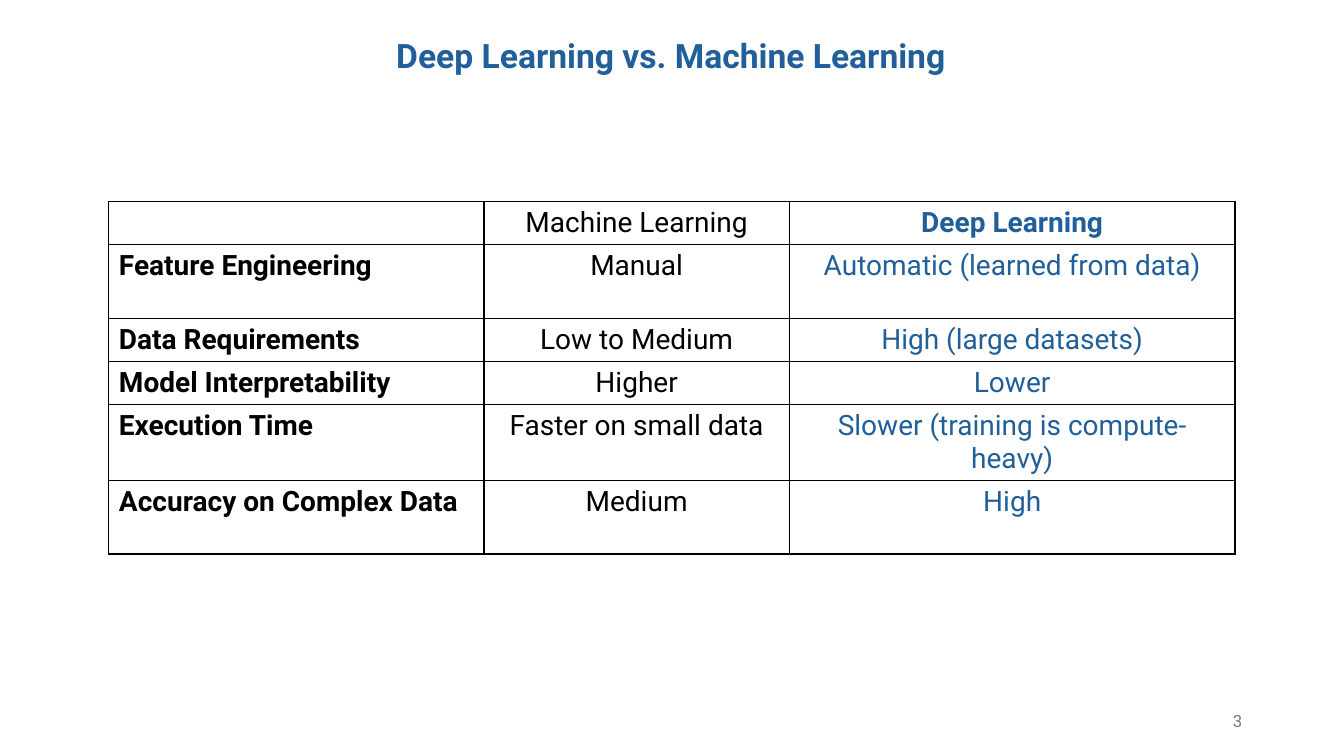
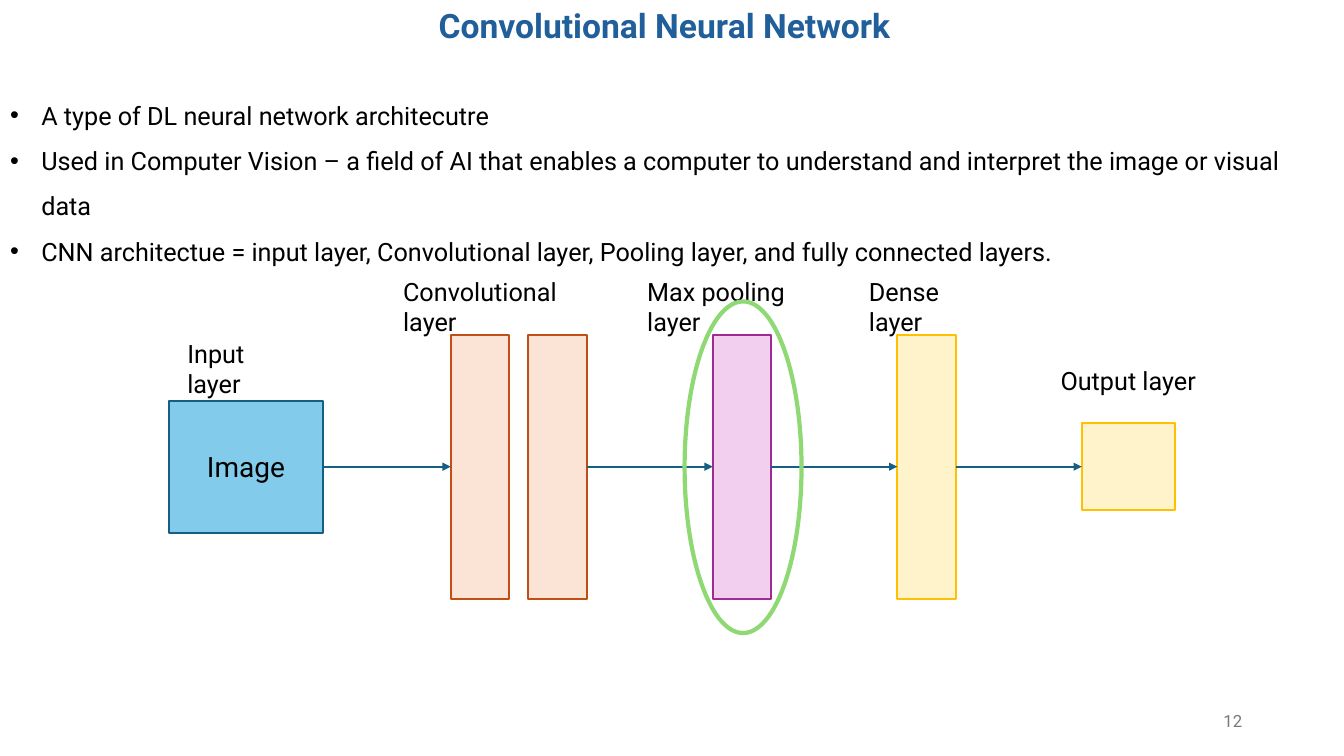
"""Build two slides comparing learning methods and outlining a convolutional network."""
from dataclasses import dataclass
from typing import Optional

from lxml.etree import SubElement
from pptx import Presentation
from pptx.dml.color import RGBColor
from pptx.enum.shapes import MSO_CONNECTOR, MSO_SHAPE
from pptx.enum.text import MSO_ANCHOR, MSO_AUTO_SIZE, PP_ALIGN
from pptx.oxml import parse_xml
from pptx.oxml.ns import nsdecls, qn
from pptx.util import Inches, Pt


@dataclass(frozen=True)
class Theme:
    font: str = "Roboto"
    black: str = "000000"
    heading: str = "215F9A"
    muted: str = "797979"
    arrow: str = "156082"
    image: str = "83CBEB"
    conv: str = "FBE3D6"
    conv_line: str = "C04F15"
    pool: str = "F2CFEE"
    pool_line: str = "A02B93"
    dense: str = "FFF3CC"
    dense_line: str = "FFC000"
    highlight: str = "8ED973"
    title_size: int = 24
    large_size: int = 20
    body_size: int = 18
    page_size: int = 12
    line_width: float = 1.5


@dataclass(frozen=True)
class Box:
    left: float
    top: float
    width: float
    height: float

    def lengths(self) -> tuple:
        return tuple(Inches(v) for v in (self.left, self.top, self.width, self.height))


@dataclass(frozen=True)
class Layer:
    left: float
    fill: str
    line: str
    width: float = 0.58
    height: float = 2.62
    text: str = ""


@dataclass(frozen=True)
class Label:
    text: str
    box: Box


T = Theme()
AXIS = 4.63
COLUMNS = (3.72, 3.03, 4.42)
SHORT_ROW, TALL_ROW = 0.42, 0.73
ROW_HEIGHTS = (SHORT_ROW, TALL_ROW, SHORT_ROW, SHORT_ROW, TALL_ROW, TALL_ROW)
COMPARISON = (
    ("", "Machine Learning", "Deep Learning"),
    ("Feature Engineering", "Manual", "Automatic (learned from data)"),
    ("Data Requirements", "Low to Medium", "High (large datasets)"),
    ("Model Interpretability", "Higher", "Lower"),
    ("Execution Time", "Faster on small data", "Slower (training is compute-heavy)"),
    ("Accuracy on Complex Data", "Medium", "High"),
)
BULLETS = (
    "A type of DL neural network architecutre",
    "Used in Computer Vision – a field of AI that enables a computer to "
    "understand and interpret the image or visual data",
    "CNN architectue = input layer, Convolutional layer, Pooling layer, "
    "and fully connected layers.",
)
LAYERS = (
    Layer(1.68, T.image, T.arrow, 1.52, 1.31, "Image"),
    Layer(4.47, T.conv, T.conv_line),
    Layer(5.24, T.conv, T.conv_line),
    Layer(7.07, T.pool, T.pool_line),
    Layer(8.9, T.dense, T.dense_line),
    Layer(10.73, T.dense, T.dense_line, 0.92, 0.86),
)
LINKS = ((0, 1), (2, 3), (3, 4), (4, 5))
LABELS = (
    Label("Input layer", Box(1.76, 3.31, 1.1, 0.7)),
    Label("Convolutional layer", Box(3.9, 2.69, 2, 0.7)),
    Label("Max pooling layer", Box(6.32, 2.69, 1.75, 0.7)),
    Label("Dense layer", Box(8.52, 2.69, 1.1, 0.7)),
    Label("Output layer", Box(10.42, 3.58, 1.65, 0.4)),
)


def style(p, size: int, color: str = T.black, bold: bool = False,
          align: PP_ALIGN = PP_ALIGN.LEFT) -> None:
    """Format a paragraph and its runs."""
    p.alignment = align
    p.space_before = Pt(0)
    for r in p.runs:
        r.font.name = T.font
        r.font.size = Pt(size)
        r.font.bold = bold
        r.font.color.rgb = RGBColor.from_string(color)


def place(sp, box: Box, anchor: MSO_ANCHOR = MSO_ANCHOR.TOP):
    """Move a text holder and return its wrapped text frame."""
    sp.left, sp.top, sp.width, sp.height = box.lengths()
    tf = sp.text_frame
    tf.auto_size = MSO_AUTO_SIZE.NONE
    tf.word_wrap = True
    tf.vertical_anchor = anchor
    return tf


def add_label(s, label: Label, size: int = T.body_size, color: str = T.black,
              align: PP_ALIGN = PP_ALIGN.LEFT,
              anchor: MSO_ANCHOR = MSO_ANCHOR.TOP) -> None:
    """Add a text box with one paragraph."""
    tf = place(s.shapes.add_textbox(*label.box.lengths()), label.box, anchor)
    tf.text = label.text
    style(tf.paragraphs[0], size, color, align=align)


def new_slide(prs, layout: int, title: Label, page: int):
    """Add a slide with its title and page number."""
    s = prs.slides.add_slide(prs.slide_layouts[layout])
    tf = place(s.shapes.title, title.box)
    tf.text = title.text
    style(tf.paragraphs[0], T.title_size, T.heading, True)
    add_label(s, Label(str(page), Box(9.42, 6.95, 3, 0.4)), T.page_size, T.muted,
              PP_ALIGN.RIGHT, MSO_ANCHOR.MIDDLE)
    return s


def add_borders(cell) -> None:
    """Draw thin black lines around a table cell."""
    pr = cell._tc.get_or_add_tcPr()
    for i, side in enumerate(("lnL", "lnR", "lnT", "lnB")):
        pr.insert(i, parse_xml(
            f'<a:{side} {nsdecls("a")} w="{Pt(1)}"><a:solidFill>'
            f'<a:srgbClr val="{T.black}"/></a:solidFill></a:{side}>'))


def add_comparison(s) -> None:
    """Add the table that compares both methods."""
    box = Box(1.08, 2, sum(COLUMNS), sum(ROW_HEIGHTS))
    table = s.shapes.add_table(len(COMPARISON), len(COLUMNS), *box.lengths()).table
    table.first_row = table.horz_banding = False
    for column, width in zip(table.columns, COLUMNS):
        column.width = Inches(width)
    for i, (row, height) in enumerate(zip(COMPARISON, ROW_HEIGHTS)):
        table.rows[i].height = Inches(height)
        for j, text in enumerate(row):
            cell = table.cell(i, j)
            cell.fill.background()
            add_borders(cell)
            cell.text_frame.text = text
            style(cell.text_frame.paragraphs[0], T.large_size,
                  T.heading if j == 2 else T.black,
                  j == 0 or (i == 0 and j == 2),
                  PP_ALIGN.CENTER if j else PP_ALIGN.LEFT)


def add_bullets(s) -> None:
    """Fill the body placeholder with the bullet list."""
    tf = place(s.placeholders[1], Box(0, 0.79, 13.33, 1.9))
    tf.text = "\n".join(BULLETS)
    for p in tf.paragraphs:
        pr = p._p.get_or_add_pPr()
        pr.set("marL", str(Inches(0.31)))
        pr.set("indent", str(-Inches(0.31)))
        SubElement(pr, qn("a:buFont")).set("typeface", "Arial")
        SubElement(pr, qn("a:buChar")).set("char", "•")
        p.line_spacing = 1.5
        style(p, T.body_size)


def add_outline(s, kind: MSO_SHAPE, box: Box, line: str, width: float,
                fill: Optional[str] = None):
    """Add a flat shape, hollow unless a fill is given."""
    sp = s.shapes.add_shape(kind, *box.lengths())
    sp.shadow.inherit = False
    if fill:
        sp.fill.solid()
        sp.fill.fore_color.rgb = RGBColor.from_string(fill)
    else:
        sp.fill.background()
    sp.line.color.rgb = RGBColor.from_string(line)
    sp.line.width = Pt(width)
    return sp


def add_layer(s, layer: Layer):
    """Add a network layer centred on the shared axis."""
    box = Box(layer.left, AXIS - layer.height / 2, layer.width, layer.height)
    sp = add_outline(s, MSO_SHAPE.RECTANGLE, box, layer.line, T.line_width, layer.fill)
    if layer.text:
        tf = sp.text_frame
        tf.text = layer.text
        tf.vertical_anchor = MSO_ANCHOR.MIDDLE
        style(tf.paragraphs[0], T.large_size, align=PP_ALIGN.CENTER)
    return sp


def add_arrow(s, start, end) -> None:
    """Join the right side of one layer to the left side of another."""
    y = Inches(AXIS)
    line = s.shapes.add_connector(MSO_CONNECTOR.STRAIGHT, start.left + start.width, y,
                                  end.left, y)
    line.begin_connect(start, 3)
    line.end_connect(end, 1)
    line.line.color.rgb = RGBColor.from_string(T.arrow)
    line.line.width = Pt(T.line_width)
    SubElement(line.line._get_or_add_ln(), qn("a:tailEnd")).set("type", "triangle")
    SubElement(line._element.spPr, qn("a:effectLst"))


def add_network(s) -> None:
    """Draw the layers, labels, arrows and pooling highlight."""
    shapes = [add_layer(s, layer) for layer in LAYERS]
    for label in LABELS:
        add_label(s, label)
    for start, end in LINKS:
        add_arrow(s, shapes[start], shapes[end])
    add_outline(s, MSO_SHAPE.OVAL, Box(6.79, 2.99, 1.16, 3.29), T.highlight, 3)


def main() -> None:
    """Build and save the presentation."""
    prs = Presentation()
    prs.slide_width, prs.slide_height = Inches(13.33), Inches(7.5)
    s = new_slide(prs, 5, Label("Deep Learning vs. Machine Learning",
                                Box(3.83, 0.3, 5.8, 0.5)), 3)
    add_comparison(s)
    s = new_slide(prs, 1, Label("Convolutional Neural Network",
                                Box(4.25, 0, 4.83, 0.5)), 12)
    add_bullets(s)
    add_network(s)
    prs.save("out.pptx")


if __name__ == "__main__":
    main()
